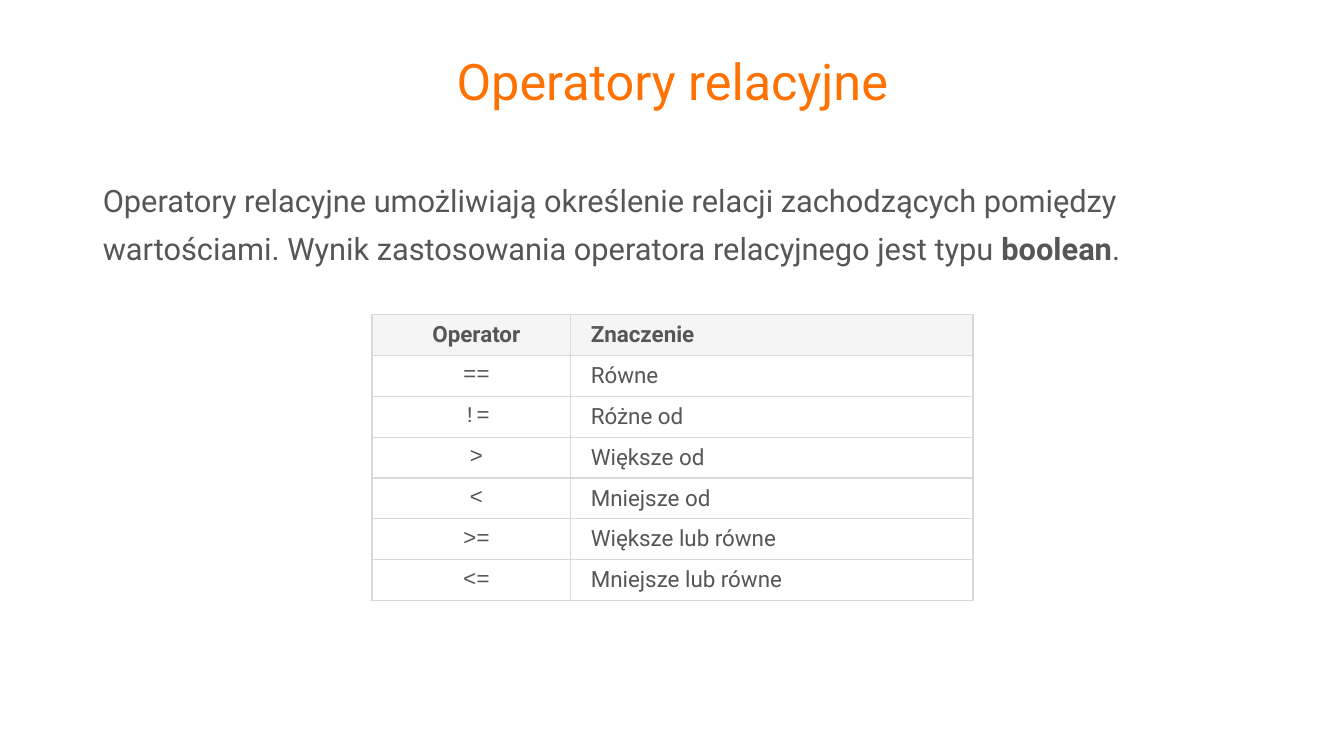
from lxml import etree
from pptx import Presentation, util as u
from pptx.dml.color import RGBColor
from pptx.enum import text
from pptx.oxml.ns import qn

PX = 9144  # 100 px to the inch
ORANGE = RGBColor(0xFF, 0x71, 0x00)
GREY = RGBColor(0x56, 0x56, 0x56)
HEADER_FILL = RGBColor(0xF5, 0xF5, 0xF5)
WHITE = RGBColor(0xFF, 0xFF, 0xFF)
BORDER = RGBColor(0xD9, 0xD9, 0xD9)
ROWS = [
    ("Operator", "Znaczenie"),
    ("==", "Równe"),
    ("!=", "Różne od"),
    (">", "Większe od"),
    ("<", "Mniejsze od"),
    (">=", "Większe lub równe"),
    ("<=", "Mniejsze lub równe"),
]


def place(shape, left, top, width, height):
    shape.left, shape.top = left * PX, top * PX
    shape.width, shape.height = width * PX, height * PX
    shape.text_frame.auto_size = text.MSO_AUTO_SIZE.NONE


def set_font(paragraph, name, size, color):
    paragraph.font.name = name
    paragraph.font.size = u.Pt(size)
    paragraph.font.color.rgb = color


presentation = Presentation()
presentation.slide_width = 1333 * PX
presentation.slide_height = 750 * PX
slide = presentation.slides.add_slide(presentation.slide_layouts[1])

# Title
title = slide.shapes.title
place(title, 92, 40, 1150, 87)
title.text_frame.text = "Operatory relacyjne"
title.text_frame.vertical_anchor = text.MSO_ANCHOR.MIDDLE
paragraph = title.text_frame.paragraphs[0]
paragraph.alignment = text.PP_ALIGN.CENTER
paragraph.line_spacing = 0.9
set_font(paragraph, "Roboto", 36, ORANGE)

# Introduction, without a bullet
body = slide.placeholders[1]
place(body, 92, 164, 1150, 129)
paragraph = body.text_frame.paragraphs[0]
paragraph.line_spacing = 1.3
paragraph.space_before = u.Pt(10)
set_font(paragraph, "Roboto", 22, GREY)
properties = paragraph._p.get_or_add_pPr()
properties.set("marL", "0")
properties.set("indent", "0")
properties.insert_element_before(
    etree.Element(qn("a:buNone")), "a:tabLst", "a:defRPr", "a:extLst")
paragraph.add_run().text = (
    "Operatory relacyjne umożliwiają określenie relacji zachodzących pomiędzy "
    "wartościami. Wynik zastosowania operatora relacyjnego jest typu ")
keyword = paragraph.add_run()
keyword.text = "boolean"
keyword.font.bold = True
paragraph.add_run().text = "."

# Table of operators
table = slide.shapes.add_table(
    len(ROWS), 2, 369 * PX, 312 * PX, 596 * PX, 284 * PX).table
table.horz_banding = False
table.columns[0].width = 197 * PX
table.columns[1].width = 399 * PX
for row, labels in enumerate(ROWS):
    for column, label in enumerate(labels):
        cell = table.cell(row, column)
        is_header = row == 0
        is_symbol = column == 0 and not is_header
        cell.text = label
        cell.vertical_anchor = text.MSO_ANCHOR.MIDDLE
        cell.margin_left, cell.margin_right = 20 * PX, 10 * PX
        cell.margin_top = cell.margin_bottom = 5 * PX
        paragraph = cell.text_frame.paragraphs[0]
        paragraph.alignment = (
            text.PP_ALIGN.CENTER if column == 0 else text.PP_ALIGN.LEFT)
        set_font(paragraph, "Courier New" if is_symbol else "Roboto", 16, GREY)
        paragraph.font.bold = is_header

        # Borders come before the fill in the cell properties
        cell_properties = cell._tc.get_or_add_tcPr()
        for side in ("a:lnL", "a:lnR", "a:lnT", "a:lnB"):
            line = etree.SubElement(cell_properties, qn(side), w=str(u.Pt(1)))
            fill = etree.SubElement(line, qn("a:solidFill"))
            etree.SubElement(fill, qn("a:srgbClr"), val=str(BORDER))
        cell.fill.solid()
        cell.fill.fore_color.rgb = HEADER_FILL if is_header else WHITE

presentation.save("out.pptx")
